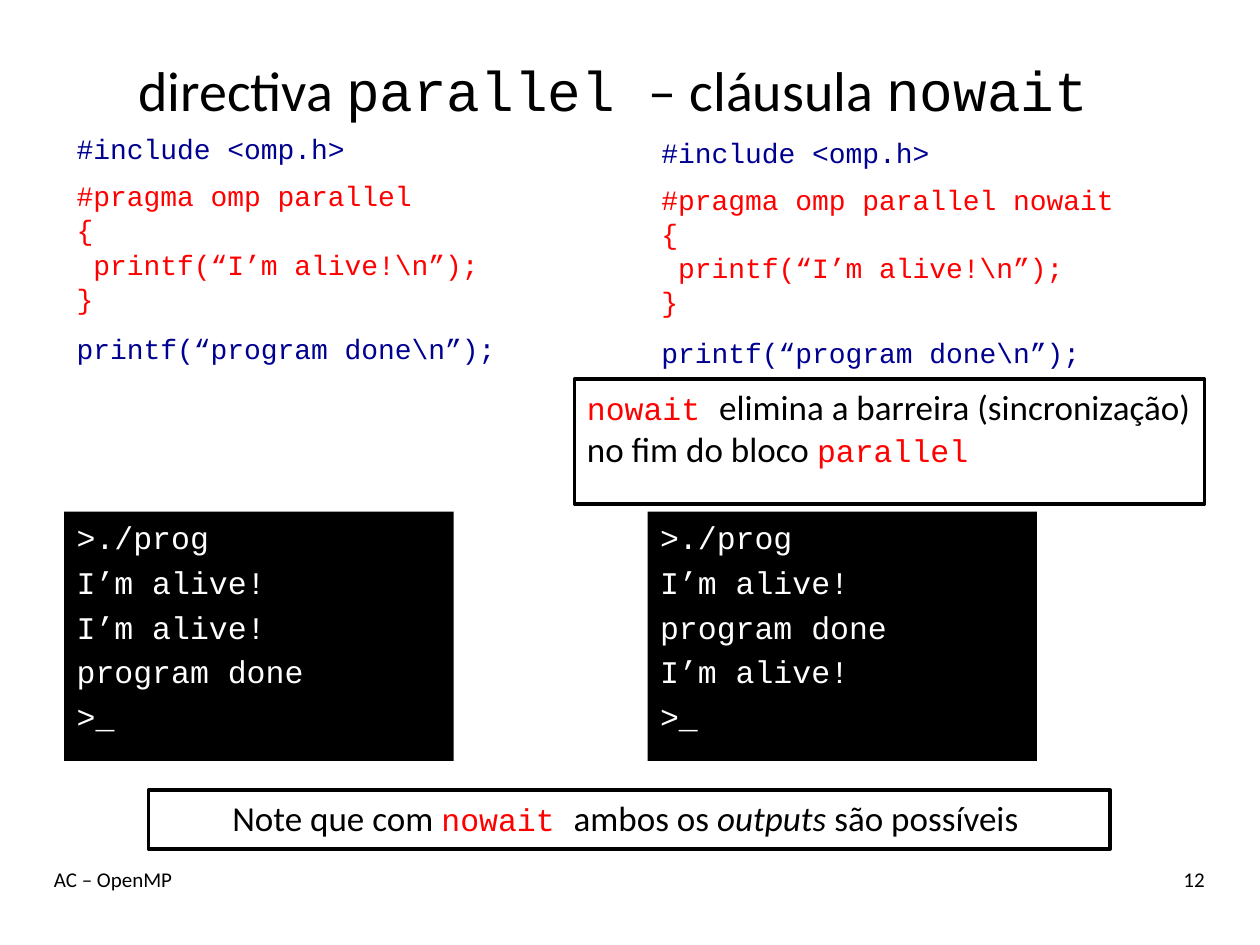
from dataclasses import dataclass

from pptx import Presentation, util as u
from pptx.dml.color import RGBColor
from pptx.enum import shapes, text

SANS, MONO = "Calibri", "Courier New"
BLACK, WHITE, RED, NAVY = "000000", "FFFFFF", "FF0000", "000090"
LEFT, CENTER, RIGHT = text.PP_ALIGN.LEFT, text.PP_ALIGN.CENTER, text.PP_ALIGN.RIGHT
MARGIN = 0.33
CONSOLE_TOP, CONSOLE_WIDTH, CONSOLE_HEIGHT = 4.06, 3.09, 1.98


@dataclass
class Run:
    """A stretch of text in one font."""
    words: str
    size: float = 20
    font: str = SANS
    color: str = BLACK
    italic: bool = False


@dataclass
class Example:
    """A column with a program and its console output."""
    code_left: float
    code_top: float
    code_width: float
    clause: str
    console_left: float
    output: list[str]


def set_font(font, size: float, name: str, color: str, italic: bool = False) -> None:
    """Set size, typeface, colour and slant of a font."""
    font.size, font.name, font.italic = u.Pt(size), name, italic
    font.color.rgb = RGBColor.from_string(color)


def add_runs(paragraph, runs: list[Run], align=LEFT) -> None:
    """Write mixed runs into a paragraph."""
    paragraph.alignment = align
    for item in runs:
        run = paragraph.add_run()
        run.text = item.words
        set_font(run.font, item.size, item.font, item.color, item.italic)


def add_lines(frame, lines: list[str], size: float, colors: list[str], pitch: float) -> list:
    """Write monospaced lines, one paragraph each, and return the paragraphs."""
    paragraphs = []
    for index, (line, color) in enumerate(zip(lines, colors)):
        paragraph = frame.add_paragraph() if index else frame.paragraphs[0]
        paragraph.text = line
        paragraph.alignment = LEFT
        paragraph.line_spacing = u.Pt(pitch)
        set_font(paragraph.font, size, MONO, color)
        paragraphs.append(paragraph)
    return paragraphs


def add_label(slide, box: tuple, words: str, align) -> None:
    """Add a small footer text."""
    frame = slide.shapes.add_textbox(*map(u.Inches, box)).text_frame
    frame.word_wrap = True
    paragraph = frame.paragraphs[0]
    paragraph.text, paragraph.alignment = words, align
    set_font(paragraph.font, 12, SANS, BLACK)


def add_box(slide, box: tuple, fill: str = ""):
    """Add a filled or outlined rectangle and return its text frame."""
    shape = slide.shapes.add_shape(shapes.MSO_SHAPE.RECTANGLE, *map(u.Inches, box))
    shape.shadow.inherit = False
    if fill:
        shape.fill.solid()
        shape.fill.fore_color.rgb = RGBColor.from_string(fill)
        shape.line.fill.background()
    else:
        shape.fill.background()
        shape.line.color.rgb = RGBColor.from_string(BLACK)
        shape.line.width = u.Pt(2)
    frame = shape.text_frame
    frame.word_wrap, frame.vertical_anchor = True, text.MSO_ANCHOR.TOP
    return frame


def add_example(slide, example: Example) -> None:
    """Add a program listing and the console below it."""
    box = (example.code_left, example.code_top, example.code_width, 2.01)
    frame = slide.shapes.add_textbox(*map(u.Inches, box)).text_frame
    frame.word_wrap = False
    code = ["#include <omp.h>", "#pragma omp parallel" + example.clause, "{",
            " printf(“I’m alive!\\n”);", "}", "printf(“program done\\n”);"]
    paragraphs = add_lines(frame, code, 16, [NAVY] + [RED] * 4 + [NAVY], 19.5)
    paragraphs[0].space_after = u.Pt(7.5)
    paragraphs[-1].space_before = u.Pt(9.5)

    console = add_box(slide, (example.console_left, CONSOLE_TOP, CONSOLE_WIDTH,
                              CONSOLE_HEIGHT), BLACK)
    lines = [">./prog", *example.output, ">_"]
    for paragraph in add_lines(console, lines, 18, [WHITE] * len(lines), 22):
        paragraph.space_before = u.Pt(3.5)


def add_title(slide) -> None:
    """Place and fill the title."""
    title = slide.shapes.title
    title.left, title.top, title.width, title.height = map(
        u.Inches, (MARGIN, 0.25, 10 - 2 * MARGIN, 0.92))
    title.text_frame.vertical_anchor = text.MSO_ANCHOR.MIDDLE
    add_runs(title.text_frame.paragraphs[0], [
        Run("directiva ", 32), Run("parallel ", 32, MONO),
        Run("– cláusula ", 32), Run("nowait ", 32, MONO)], CENTER)


def keyword(words: str) -> Run:
    """Return a red code word."""
    return Run(words, 18, MONO, RED)


def main() -> None:
    """Build the slide."""
    presentation = Presentation()
    presentation.slide_width, presentation.slide_height = u.Inches(10), u.Inches(7.5)
    slide = presentation.slides.add_slide(presentation.slide_layouts[5])
    add_title(slide)

    alive, done = "I’m alive!", "program done"
    for example in (Example(0.51, 0.99, 3.58, "", 0.51, [alive, alive, done]),
                    Example(5.15, 1.02, 3.85, " nowait", 5.14, [alive, done, alive])):
        add_example(slide, example)

    explanation = add_box(slide, (4.56, 3.01, 5, 0.99))
    add_runs(explanation.paragraphs[0], [
        keyword("nowait "),
        Run("elimina a barreira (sincronização) no fim do bloco "),
        keyword("parallel")])
    note = add_box(slide, (1.18, 6.27, 7.63, 0.47))
    add_runs(note.paragraphs[0], [
        Run("Note que com "), keyword("nowait "), Run("ambos os "),
        Run("outputs ", italic=True), Run("são possíveis ")], CENTER)

    add_label(slide, (MARGIN, 6.83, 7, 0.5), "AC – OpenMP", LEFT)
    add_label(slide, (8.33, 6.83, 1.33, 0.5), "12", RIGHT)
    presentation.save("out.pptx")


main()
